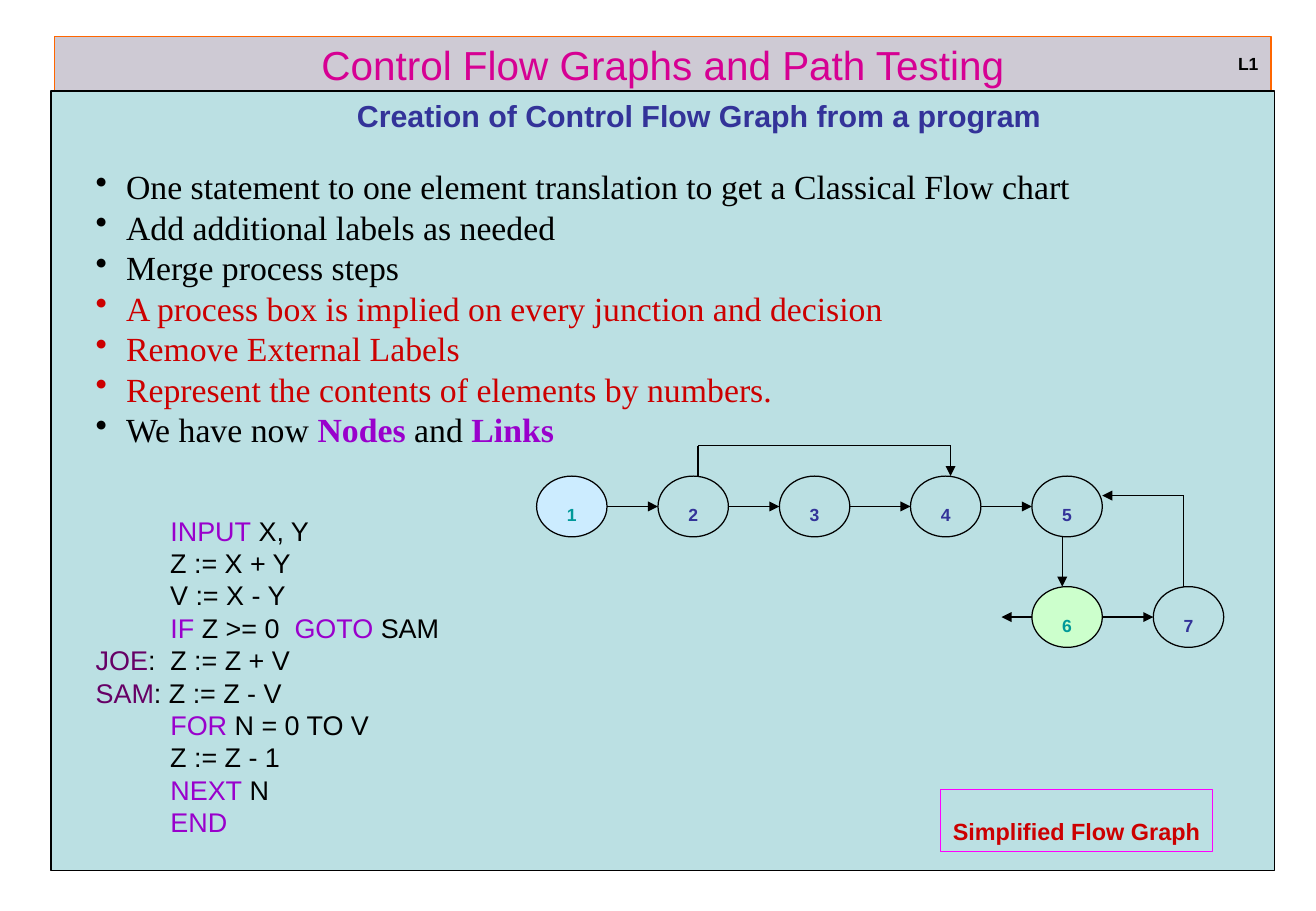
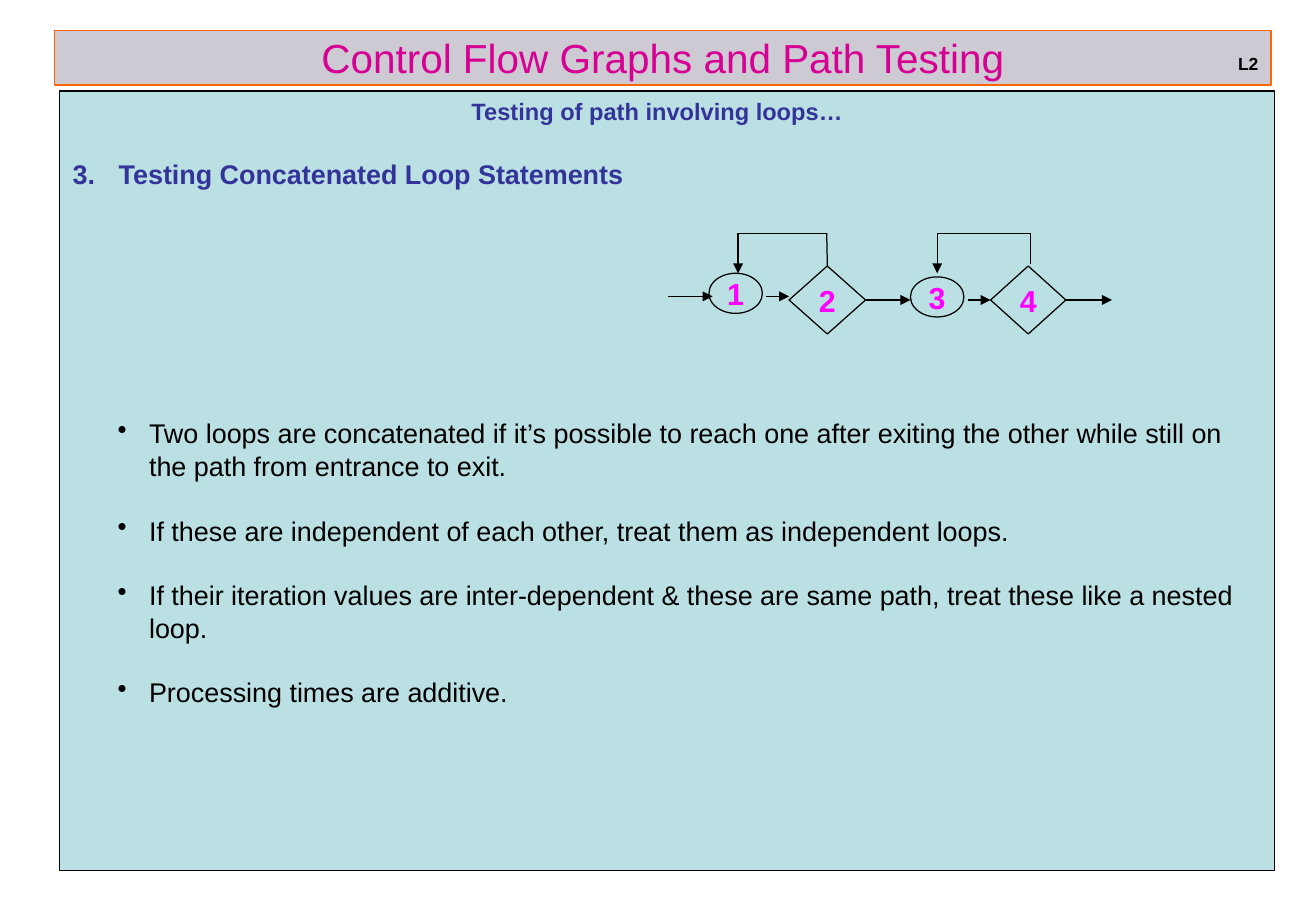
from dataclasses import dataclass
from itertools import pairwise
from typing import Optional

from lxml import etree
from pptx import Presentation
from pptx import util as u
from pptx.dml import color as dml
from pptx.enum import shapes as es, text as et
from pptx.oxml import ns

INK, NAVY, RED = "000000", "333399", "CC0000"
PLUM, WINE, TEAL, PINK = "9900CC", "660066", "009999", "FF00FF"
PANEL, BAND, RIM, HEAD = "BBE0E3", "CECAD4", "FF6600", "D60093"
RECT, OVAL = es.MSO_SHAPE.RECTANGLE, es.MSO_SHAPE.OVAL
GEM = es.MSO_SHAPE.DIAMOND
CENTER, LEFT = et.PP_ALIGN.CENTER, et.PP_ALIGN.LEFT
SINK = -12000
LEADING = 1.2


@dataclass(frozen=True)
class Run:
    text: str
    color: str = INK
    bold: bool = False


@dataclass(frozen=True)
class Para:
    runs: tuple[Run, ...]
    size: float = 16
    font: str = "Arial"
    before: float = 0
    left: float = 0
    hang: float = 0
    mark: str = ""
    align: et.PP_ALIGN = LEFT


@dataclass(frozen=True)
class Node:
    label: str
    x: float
    y: float
    w: float = 0.58
    h: float = 0.5
    kind: es.MSO_SHAPE = OVAL
    fill: str = PANEL
    color: str = NAVY
    base: int = SINK


@dataclass(frozen=True)
class Route:
    points: tuple[tuple[float, float], ...]


def rgb(code: str) -> dml.RGBColor:
    return dml.RGBColor.from_string(code)


def style(run, size: float, color: str, bold: bool = False,
          font: str = "Arial", base: int = 0) -> None:
    run.font.size = u.Pt(size)
    run.font.name = font
    run.font.bold = bold
    run.font.color.rgb = rgb(color)
    if base:
        run.font._element.set("baseline", str(base))


def label(shape, words: str, size: float, color: str, bold: bool = True,
          base: int = 0, align: et.PP_ALIGN = CENTER,
          anchor: et.MSO_ANCHOR = et.MSO_ANCHOR.MIDDLE) -> None:
    frame = shape.text_frame
    frame.text = words
    frame.word_wrap = False
    frame.vertical_anchor = anchor
    para = frame.paragraphs[0]
    para.alignment = align
    style(para.runs[0], size, color, bold, base=base)


def add_box(slide, kind: es.MSO_SHAPE, x: float, y: float, w: float, h: float,
            fill: Optional[str], line: str):
    box = slide.shapes.add_shape(
        kind, u.Inches(x), u.Inches(y), u.Inches(w), u.Inches(h))
    box.shadow.inherit = False
    if fill:
        box.fill.solid()
        box.fill.fore_color.rgb = rgb(fill)
    else:
        box.fill.background()
    box.line.color.rgb = rgb(line)
    box.line.width = u.Pt(0.75)
    return box


def add_mark(para, mark: str, color: str) -> None:
    props = para._p.get_or_add_pPr()
    tint = etree.SubElement(props, ns.qn("a:buClr"))
    etree.SubElement(tint, ns.qn("a:srgbClr"), val=color)
    if mark.isdigit():
        etree.SubElement(props, ns.qn("a:buAutoNum"),
                         type="arabicPeriod", startAt=mark)
    else:
        etree.SubElement(props, ns.qn("a:buChar"), char=mark)


def add_text(slide, x: float, y: float, w: float, h: float,
             paras: list[Para]) -> None:
    box = slide.shapes.add_textbox(
        u.Inches(x), u.Inches(y), u.Inches(w), u.Inches(h))
    frame = box.text_frame
    frame.word_wrap = True
    for i, item in enumerate(paras):
        para = frame.add_paragraph() if i else frame.paragraphs[0]
        props = para._p.get_or_add_pPr()
        props.set("marL", str(u.Inches(item.left)))
        props.set("indent", str(-u.Inches(item.hang)))
        if item.mark:
            add_mark(para, item.mark, item.runs[0].color)
        para.alignment = item.align
        para.line_spacing = u.Pt(item.size * LEADING)
        if item.before:
            para.space_before = u.Pt(item.before)
        for part in item.runs:
            run = para.add_run()
            run.text = part.text
            style(run, item.size, part.color, part.bold, item.font)


def add_node(slide, node: Node):
    shape = add_box(slide, node.kind, node.x, node.y, node.w, node.h,
                    node.fill, INK)
    label(shape, node.label, 18, node.color, base=node.base)
    return shape


def find_side(gems: list, x: int, y: int):
    near = u.Inches(0.02)
    for gem in gems:
        mid_x, mid_y = gem.left + gem.width // 2, gem.top + gem.height // 2
        sides = ((mid_x, gem.top), (gem.left, mid_y),
                 (mid_x, gem.top + gem.height), (gem.left + gem.width, mid_y))
        for site, (sx, sy) in enumerate(sides):
            if abs(sx - x) < near and abs(sy - y) < near:
                return gem, site
    return None


def add_route(slide, route: Route, gems: list) -> None:
    legs = list(pairwise(route.points))
    for i, (start, stop) in enumerate(legs):
        ends = [u.Inches(v) for v in (*start, *stop)]
        wire = slide.shapes.add_connector(es.MSO_CONNECTOR.STRAIGHT, *ends)
        wire.line.color.rgb = rgb(INK)
        wire.line.width = u.Pt(0.75)
        etree.SubElement(wire._element.spPr, ns.qn("a:effectLst"))
        if i == len(legs) - 1:
            etree.SubElement(wire.line._get_or_add_ln(),
                             ns.qn("a:tailEnd"), type="triangle")
        first, last = find_side(gems, *ends[:2]), find_side(gems, *ends[2:])
        if first:
            wire.begin_connect(*first)
        if last:
            wire.end_connect(*last)


def add_graph(slide, nodes: list[Node], routes: list[Route]) -> None:
    drawn = [(node, add_node(slide, node)) for node in nodes]
    gems = [shape for node, shape in drawn if node.kind == GEM]
    for route in routes:
        add_route(slide, route, gems)


def add_base(deck, top: float, left: float, tag: str):
    slide = deck.slides.add_slide(deck.slide_layouts[6])
    band = add_box(slide, RECT, 0.45, top, 10.02, 0.45, BAND, RIM)
    label(band, "Control Flow Graphs and Path Testing", 24, HEAD, False)
    add_box(slide, RECT, left, 0.75, 10.5 - left, 6.42, PANEL, INK)
    note = slide.shapes.add_textbox(
        u.Inches(10.1), u.Inches(0.25), u.Inches(0.37), u.Inches(0.41))
    label(note, tag, 18, INK, base=SINK, align=LEFT,
          anchor=et.MSO_ANCHOR.TOP)
    return slide


def link(a: Node, b: Node) -> Route:
    y = a.y + a.h / 2
    return Route(((a.x + a.w, y), (b.x, y)))


def draw_flow(deck) -> None:
    slide = add_base(deck, 0.3, 0.42, "L1")
    steps = [
        (Run("One statement to one element translation to get a Classical Flow chart"),),
        (Run("Add additional labels as needed"),),
        (Run("Merge process steps"),),
        (Run("A process box is implied on every junction and decision", RED),),
        (Run("Remove External Labels", RED),),
        (Run("Represent the contents of elements by numbers.", RED),),
        (Run("We have now "), Run("Nodes", PLUM, True),
         Run(" and "), Run("Links", PLUM, True)),
    ]
    pad = Run("          ")
    code = [
        (pad, Run("INPUT", PLUM), Run(" X, Y")),
        (Run("          Z := X + Y"),),
        (Run("          V := X - Y"),),
        (pad, Run("IF", PLUM), Run(" Z >= 0  "), Run("GOTO", PLUM), Run(" SAM")),
        (Run("JOE", WINE), Run(":  Z := Z + V")),
        (Run("SAM", WINE), Run(": Z := Z - V")),
        (pad, Run("FOR", PLUM), Run(" N = 0 TO V")),
        (Run("          Z := Z - 1"),),
        (pad, Run("NEXT", PLUM), Run(" N")),
        (pad, Run("END", PLUM)),
    ]
    head = Run("Creation of Control Flow Graph from a program", NAVY, True)
    paras = [Para((head,), 18, left=0.19, align=CENTER)]
    paras += [Para(runs, 20, "Times New Roman", 0 if i else 19.2,
                   0.44, 0.25, "•") for i, runs in enumerate(steps)]
    paras += [Para(runs, before=0 if i else 38.4, left=0.19)
              for i, runs in enumerate(code)]
    add_text(slide, 0.5, 0.75, 10.33, 6.2, paras)

    name = add_box(slide, RECT, 7.75, 6.5, 2.24, 0.51, None, PINK)
    label(name, "Simplified Flow Graph", 24, RED, base=SINK, align=LEFT,
          anchor=et.MSO_ANCHOR.TOP)

    row = [Node("1", 4.42, 3.92, fill="CCECFF", color=TEAL)]
    row += [Node(str(i), x, 3.92)
            for i, x in enumerate((5.42, 6.42, 7.5, 8.5), 2)]
    low = [Node("6", 8.5, 4.83, fill="CCFFCC", color=TEAL),
           Node("7", 9.5, 4.83)]
    routes = [link(a, b) for a, b in [*pairwise(row), *pairwise(low)]]
    routes += [
        Route(((5.75, 3.92), (5.75, 3.67), (7.83, 3.67), (7.83, 3.92))),
        Route(((8.75, 4.42), (8.75, 4.83))),
        Route(((9.75, 4.83), (9.75, 4.08), (9.08, 4.08))),
        Route(((8.5, 5.08), (8.25, 5.08))),
    ]
    add_graph(slide, row + low, routes)


def draw_loops(deck) -> None:
    slide = add_base(deck, 0.25, 0.49, "L2")
    notes = [
        "Two loops are concatenated if it’s possible to reach one after exiting "
        "the other while still on the path from entrance to exit.",
        "If these are independent of each other, treat them as independent loops.",
        "If their iteration values are inter-dependent & these are same path, "
        "treat these like a nested loop.",
        "Processing times are additive.",
    ]
    paras = [
        Para((Run("Testing of path involving loops…", NAVY, True),), 14,
             align=CENTER),
        Para((Run("Testing Concatenated Loop Statements", NAVY, True),),
             before=19.2, left=0.38, hang=0.38, mark="3"),
    ]
    paras += [Para((Run(note),), before=19.2 if i else 134.4,
                   left=0.63, hang=0.26, mark="•")
              for i, note in enumerate(notes)]
    add_text(slide, 0.5, 0.75, 9.83, 5.13, paras)

    spots = [("1", 5.84, 2.25, 0.44, 0.33, OVAL),
             ("2", 6.5, 2.19, 0.63, 0.56, GEM),
             ("3", 7.5, 2.28, 0.44, 0.33, OVAL),
             ("4", 8.16, 2.19, 0.62, 0.56, GEM)]
    nodes = [Node(*spot, color=PINK, base=0) for spot in spots]
    flat = [(5.5, 5.87, 2.44), (6.31, 6.5, 2.44), (7.13, 7.5, 2.47),
            (7.97, 8.16, 2.47), (8.78, 9.16, 2.47)]
    routes = [Route(((a, y), (b, y))) for a, b, y in flat]
    routes += [Route(((a, y), (a, 1.92), (b, 1.92), (b, 2.25)))
               for a, b, y in ((6.81, 6.08, 2.19), (8.49, 7.72, 2.17))]
    add_graph(slide, nodes, routes)


def main() -> None:
    deck = Presentation()
    deck.slide_width, deck.slide_height = u.Inches(10.84), u.Inches(7.5)
    draw_flow(deck)
    draw_loops(deck)
    deck.save("out.pptx")


if __name__ == "__main__":
    main()
